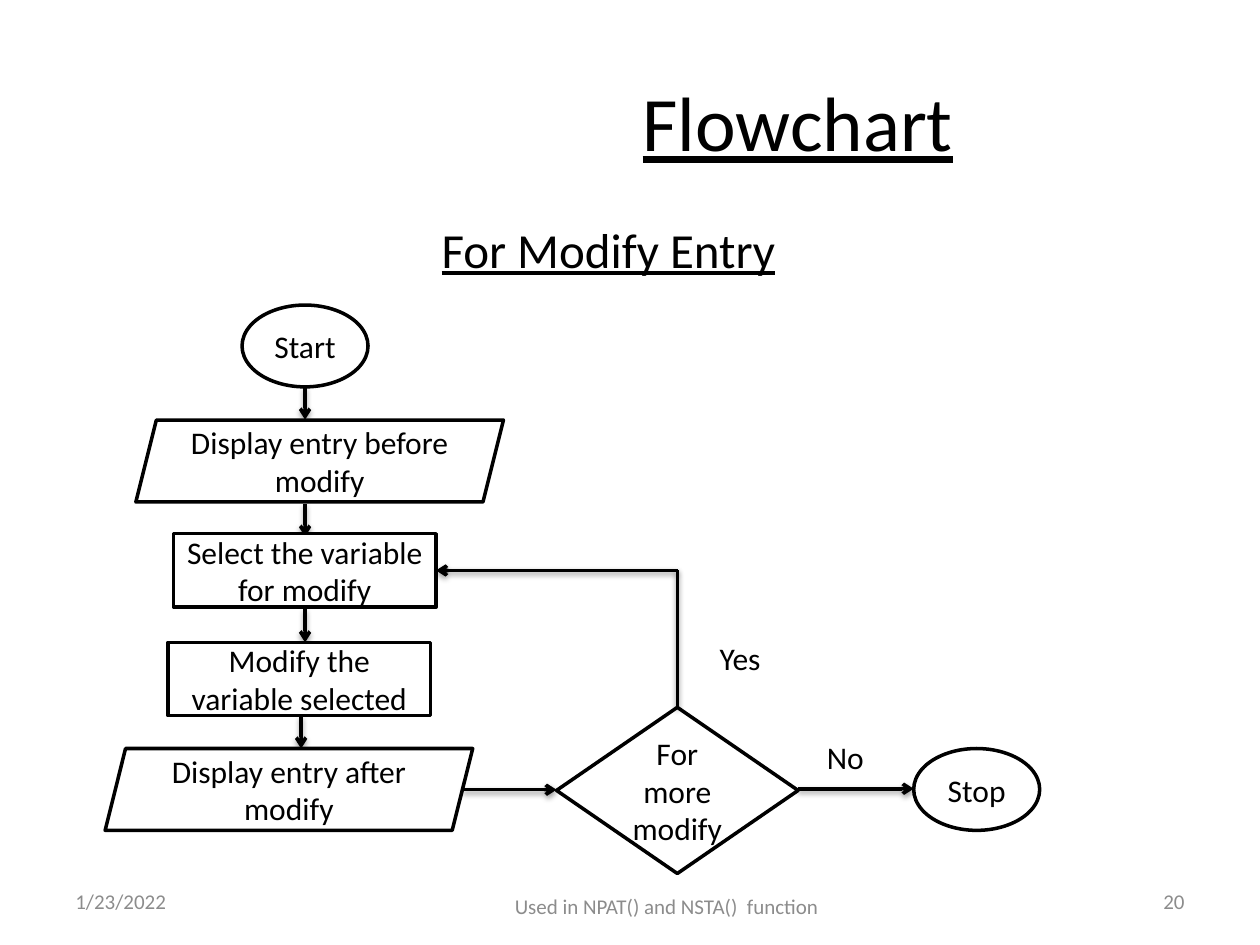
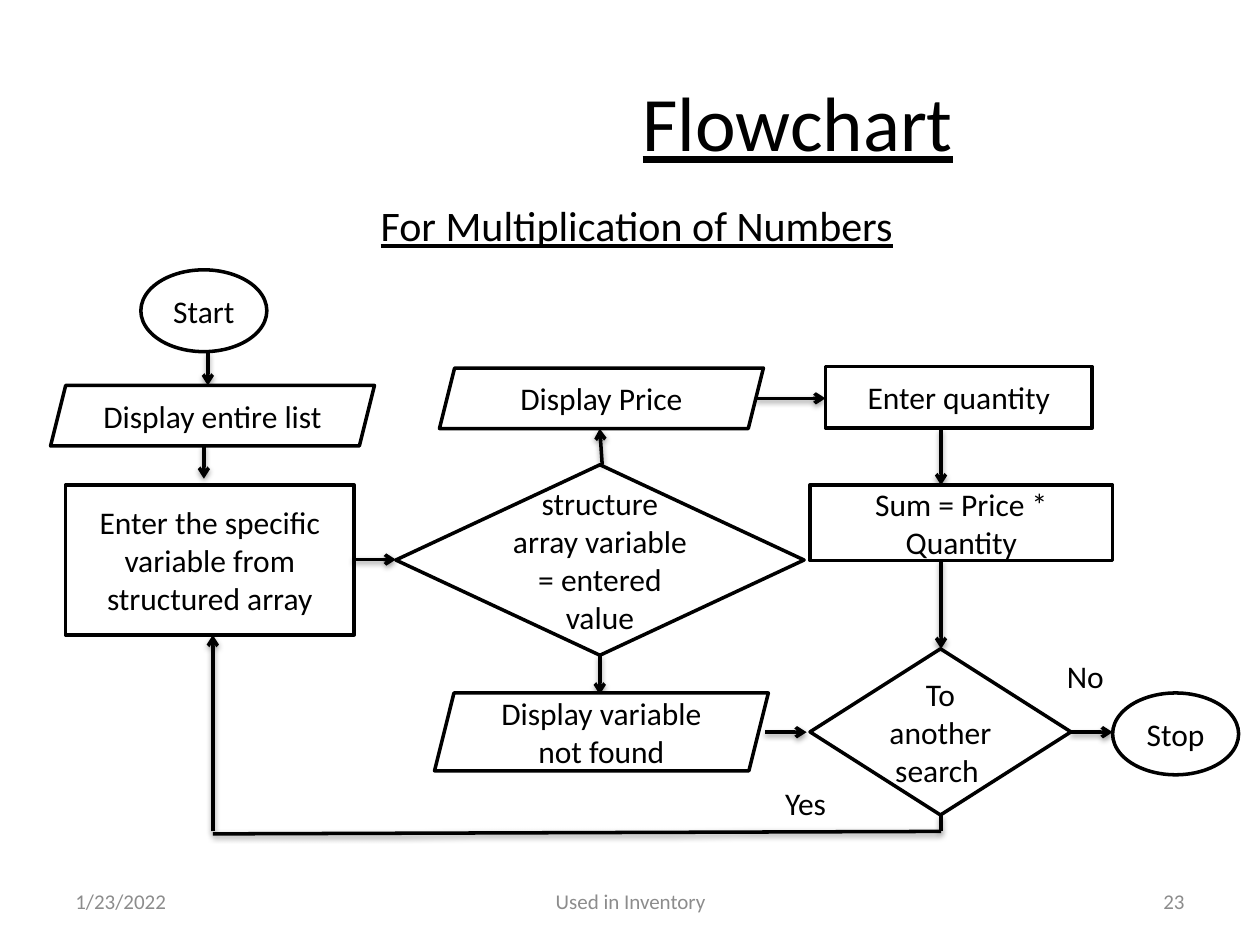
"""Build two flowchart slides with shared title, panel and footer styling."""
from dataclasses import dataclass
from typing import Union

from lxml.etree import SubElement
from pptx import Presentation
from pptx.dml.color import RGBColor
from pptx.enum.shapes import MSO_CONNECTOR, MSO_SHAPE
from pptx.enum.text import MSO_ANCHOR, PP_ALIGN
from pptx.oxml.ns import qn
from pptx.slide import Slide
from pptx.util import Cm, Pt

COLORS = {"ink": "000000", "paper": "FFFFFF", "footer": "8C8C8C"}
LINE_WIDTH = Pt(2)
TITLE_FORMAT = {"name": "Calibri", "size": Pt(44), "underline": True}
NODE_FORMAT = {"name": "Calibri", "size": Pt(18)}
FOOTER_FORMAT = {"name": "Calibri", "size": Pt(12)}
SHADOW = {"blurRad": "40000", "dist": "20000", "dir": "5400000", "rotWithShape": "0"}
PRESETS = {
    "terminal": MSO_SHAPE.OVAL,
    "display": MSO_SHAPE.PARALLELOGRAM,
    "process": MSO_SHAPE.RECTANGLE,
    "decision": MSO_SHAPE.DIAMOND,
    "label": MSO_SHAPE.RECTANGLE,
}


@dataclass(frozen=True)
class Node:
    kind: str
    text: str
    left: float
    top: float
    width: float = 2.54
    height: float = 1.65


@dataclass(frozen=True)
class Link:
    start: tuple[float, float]
    end: tuple[float, float]
    arrow: bool = True


@dataclass(frozen=True)
class Footer:
    text: str
    left: float
    top: float = 17.65
    width: float = 5.92
    alignment: PP_ALIGN = PP_ALIGN.LEFT


@dataclass(frozen=True)
class Chart:
    heading: str
    heading_size: int
    heading_inset: float
    panel: tuple[float, float, float, float]
    footer: Footer
    number: str
    steps: list[Union[Node, Link]]


MODIFY = Chart(
    "For Modify Entry", 28, 0.28, (0.3, 4.14, 23.93, 12.7),
    Footer("Used in NPAT() and NSTA()  function", 8.79, 17.75, 9.3, PP_ALIGN.CENTER),
    "20",
    [
        Node("terminal", "Start", 4.88, 6.15),
        Link((6.15, 7.8), (6.15, 8.46)),
        Node("display", "Display entry before modify", 2.74, 8.47, 7.41),
        Link((6.15, 10.16), (6.15, 10.82)),
        Node("process", "Select the variable for modify", 3.5, 10.76, 5.29, 1.48),
        Link((6.15, 12.27), (6.15, 12.95)),
        Node("process", "Modify the variable selected", 3.39, 12.95, 5.29, 1.48),
        Link((6.07, 14.43), (6.07, 15.09)),
        Node("display", "Display entry after modify", 2.12, 15.09, 7.41),
        Link((9.32, 15.92), (11.22, 15.92)),
        Node("decision", "For more modify", 11.22, 14.26, 4.87, 3.35),
        Link((13.66, 14.26), (13.66, 11.5), arrow=False),
        Link((13.66, 11.5), (8.79, 11.5)),
        Link((16.09, 15.9), (18.42, 15.9)),
        Node("terminal", "Stop", 18.42, 15.09),
        Node("label", "Yes", 13.97, 12.85, 1.9, 0.84),
        Node("label", "No", 16.09, 14.83, 1.9, 0.84),
    ],
)

MULTIPLICATION = Chart(
    "For Multiplication of Numbers", 24, 0.39, (1.19, 3.63, 23.29, 13.13),
    Footer("Used in Inventory", 8.69, 17.65, 8.05, PP_ALIGN.CENTER),
    "23",
    [
        Node("terminal", "Start", 2.84, 5.44),
        Link((4.19, 7.09), (4.19, 7.77)),
        Node("display", "Display entire list", 1.02, 7.77, 6.53, 1.22),
        Link((4.11, 8.97), (4.11, 9.65)),
        Node("process", "Enter the specific variable from structured array",
             1.32, 9.78, 5.82, 3.02),
        Link((7.11, 11.28), (7.98, 11.28)),
        Node("decision", "structure array variable = entered value",
             7.98, 9.37, 8.23, 3.84),
        Link((12.09, 13.21), (12.09, 14)),
        Node("display", "Display variable not found", 8.76, 13.97, 6.73, 1.57),
        Link((15.42, 14.76), (16.26, 14.76)),
        Node("decision", "To another search ", 16.33, 13.08, 5.26, 3.35),
        Link((21.59, 14.76), (22.43, 14.76)),
        Node("terminal", "Stop", 22.43, 13.97),
        Node("label", "No", 20.93, 13.28, 1.9, 0.69),
        Link((4.29, 16.76), (4.29, 12.8)),
        Link((4.29, 16.81), (18.97, 16.76), arrow=False),
        Link((18.97, 16.43), (18.97, 16.76), arrow=False),
        Node("label", "Yes", 15.29, 15.77, 1.9, 0.84),
        Node("display", "Display Price", 8.86, 7.42, 6.53, 1.22),
        Link((15.24, 8.03), (16.64, 8.03)),
        Link((12.14, 9.37), (12.09, 8.64)),
        Node("process", "Enter quantity", 16.64, 7.39, 5.38, 1.24),
        Link((18.97, 8.64), (18.97, 9.78)),
        Node("process", "Sum = Price * Quantity", 16.33, 9.78, 6.1, 1.52),
        Link((18.97, 11.28), (18.97, 13.08)),
    ],
)


def color(name: str) -> RGBColor:
    return RGBColor.from_string(COLORS[name])


def write_text(shape, text: str, text_format: dict, color_name: str = "ink",
               alignment: PP_ALIGN = PP_ALIGN.CENTER) -> None:
    frame = shape.text_frame
    frame.word_wrap = True
    frame.vertical_anchor = MSO_ANCHOR.MIDDLE
    paragraph = frame.paragraphs[0]
    paragraph.alignment = alignment
    run = paragraph.add_run()
    run.text = text
    for attribute, value in text_format.items():
        setattr(run.font, attribute, value)
    run.font.color.rgb = color(color_name)


def draw_node(slide: Slide, node: Node, text_format: dict = NODE_FORMAT):
    lengths = map(Cm, (node.left, node.top, node.width, node.height))
    shape = slide.shapes.add_shape(PRESETS[node.kind], *lengths)
    shape.shadow.inherit = False
    shape.fill.solid()
    shape.fill.fore_color.rgb = color("paper")
    shape.line.color.rgb = color("paper" if node.kind == "label" else "ink")
    shape.line.width = LINE_WIDTH
    write_text(shape, node.text, text_format)
    return shape


def draw_link(slide: Slide, link: Link) -> None:
    connector = slide.shapes.add_connector(
        MSO_CONNECTOR.STRAIGHT, *map(Cm, link.start + link.end))
    connector.line.color.rgb = color("ink")
    connector.line.width = LINE_WIDTH
    if link.arrow:
        SubElement(connector.get_or_add_ln(), qn("a:tailEnd"), type="arrow")
    effects = SubElement(connector.element.spPr, qn("a:effectLst"))
    shadow = SubElement(effects, qn("a:outerShdw"), SHADOW)
    shade = SubElement(shadow, qn("a:srgbClr"), val=COLORS["ink"])
    SubElement(shade, qn("a:alpha"), val="38000")


def draw_footer(slide: Slide, footer: Footer) -> None:
    shape = slide.shapes.add_textbox(
        *map(Cm, (footer.left, footer.top, footer.width, 1.02)))
    write_text(shape, footer.text, FOOTER_FORMAT, "footer", footer.alignment)


def draw_chart(slide: Slide, chart: Chart) -> None:
    number = Footer(chart.number, 18.21, alignment=PP_ALIGN.RIGHT)
    for footer in (Footer("1/23/2022", 1.27), chart.footer, number):
        draw_footer(slide, footer)
    draw_node(slide, Node("label", "Flowchart", 7.62, 0.85, 16.93, 3.17), TITLE_FORMAT)
    heading_format = {**TITLE_FORMAT, "size": Pt(chart.heading_size)}
    panel = draw_node(slide, Node("label", chart.heading, *chart.panel), heading_format)
    panel.text_frame.vertical_anchor = MSO_ANCHOR.TOP
    panel.text_frame.margin_top = Cm(chart.heading_inset)
    for step in chart.steps:
        if isinstance(step, Node):
            draw_node(slide, step)
        else:
            draw_link(slide, step)


def main() -> None:
    presentation = Presentation()
    presentation.slide_width = Cm(25.4)
    presentation.slide_height = Cm(19.05)
    blank_layout = presentation.slide_layouts[6]
    for chart in (MODIFY, MULTIPLICATION):
        draw_chart(presentation.slides.add_slide(blank_layout), chart)
    presentation.save("out.pptx")


if __name__ == "__main__":
    main()
